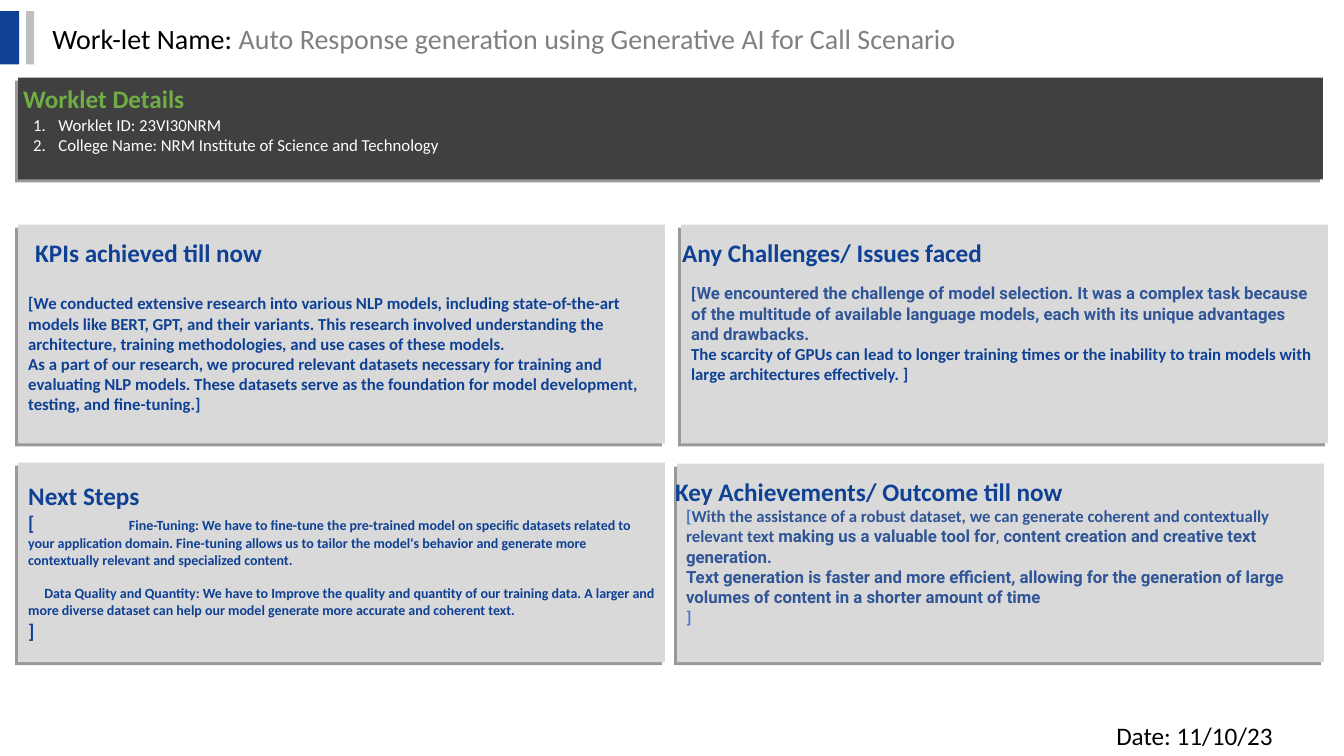
from dataclasses import dataclass

from lxml import etree
from pptx import Presentation
from pptx.dml.color import RGBColor
from pptx.enum.shapes import MSO_SHAPE
from pptx.enum.text import MSO_ANCHOR
from pptx.oxml.ns import qn
from pptx.util import Inches, Pt

RECTANGLE = MSO_SHAPE.RECTANGLE
TOP = MSO_ANCHOR.TOP
MIDDLE = MSO_ANCHOR.MIDDLE

COLORS = {
    "black": "000000",
    "white": "FFFFFF",
    "charcoal": "404040",
    "title gray": "808080",
    "bar gray": "BFBFBF",
    "panel gray": "D9D9D9",
    "pale gray": "D1D5DB",
    "navy": "0E4094",
    "blue": "2F5597",
    "bright blue": "4472C4",
    "green": "70AD47",
}


@dataclass
class Box:
    left: float
    top: float
    width: float
    height: float
    fill: str
    shadow: bool = True


@dataclass
class Span:
    text: str
    size: int = 12
    color: str = "navy"
    bold: bool = True
    font: str = "Calibri"


@dataclass
class Para:
    spans: list[Span]
    numbered: bool = False
    space_before: int = 0
    indent: float = 0
    tab: float = 0


@dataclass
class Label:
    left: float
    top: float
    width: float
    height: float
    paras: list[Para]
    anchor: MSO_ANCHOR = TOP
    wrap: bool = True


def heading(left: float, top: float, width: float, text: str, color: str = "navy") -> Label:
    return Label(left, top, width, 0.4, [Para([Span(text, 18, color)])], wrap=False)


def numbered(text: str) -> Para:
    return Para([Span(text, 12, "white", False)], numbered=True)


BOXES = [
    Box(0.18, 0.77, 12.95, 1.01, "charcoal"),
    Box(0, 0.11, 0.19, 0.53, "navy", False),
    Box(0.26, 0.11, 0.08, 0.53, "bar gray", False),
    Box(0.18, 2.23, 6.42, 2.17, "panel gray"),
    Box(6.76, 2.23, 6.42, 2.17, "panel gray"),
    Box(0.18, 4.59, 6.42, 1.98, "panel gray"),
    Box(6.72, 4.6, 6.42, 1.97, "panel gray"),
]

LABELS = [
    Label(0.47, 0.16, 10.86, 0.44, [Para([
        Span("Work-let Name: ", 20, "black", False),
        Span("Auto Response generation using Generative AI for Call Scenario", 20, "title gray", False),
    ])], MIDDLE),
    heading(0.18, 0.78, 2.03, "Worklet Details", "green"),
    Label(0.28, 1.09, 4.46, 0.7, [
        numbered("Worklet ID: 23VI30NRM"),
        numbered("College Name: NRM Institute of Science and Technology"),
    ]),
    heading(0.3, 2.31, 2.83, "KPIs achieved till now"),
    Label(0.23, 2.86, 6.32, 1.3, [
        Para([Span("[We conducted extensive research into various NLP models, including state-of-the-art "
                   "models like BERT, GPT, and their variants. This research involved understanding the "
                   "architecture, training methodologies, and use cases of these models.")]),
        Para([Span("As a part of our research, we procured relevant datasets necessary for training and "
                   "evaluating NLP models. These datasets serve as the foundation for model development, "
                   "testing, and fine-tuning.]")]),
    ]),
    heading(6.72, 2.31, 3.71, "Any Challenges/ Issues faced"),
    Label(6.81, 2.76, 6.32, 1.1, [
        Para([
            Span("["),
            Span("We encountered the challenge of model selection. It was a complex task because of the "
                 "multitude of available language models, each with its unique advantages and drawbacks.",
                 color="blue", font="Roboto"),
        ]),
        Para([Span("The scarcity of GPUs can lead to longer training times or the inability to train "
                   "models with large architectures effectively. ]")]),
    ], MIDDLE),
    Label(0.23, 4.72, 6.32, 1.87, [
        Para([Span("Next Steps", 18)]),
        Para([
            Span("[", 14),
            Span("\tFine-Tuning: We have to fine-tune the pre-trained model on specific datasets related "
                 "to your application domain. Fine-tuning allows us to tailor the model's behavior and "
                 "generate more contextually relevant and specialized content.", 10),
        ], tab=1),
        Para([Span("Data Quality and Quantity: We have to Improve the quality and quantity of our training "
                   "data. A larger and more diverse dataset can help our model generate more accurate and "
                   "coherent text.", 10)], space_before=12, indent=0.16),
        Para([Span("]", 14)]),
    ]),
    heading(6.65, 4.68, 4.71, "Key Achievements/ Outcome till now"),
    Label(6.76, 4.97, 6.32, 1.3, [
        Para([
            Span("[", color="bright blue"),
            Span("With the assistance of a robust dataset, we can generate coherent and contextually "
                 "relevant text ", color="blue"),
            Span("making us a valuable tool for", color="blue", font="Roboto"),
            Span(", ", color="blue", bold=False, font="Roboto"),
            Span("content creation and creative text generation.", color="blue", font="Roboto"),
        ]),
        Para([
            Span("Text generation is faster and more efficient, allowing for the generation of large "
                 "volumes of content in a shorter amount of time", color="blue", font="Roboto"),
            Span(".", color="pale gray", bold=False, font="Roboto"),
        ]),
        Para([Span("]", color="bright blue")]),
    ], MIDDLE),
    Label(11.03, 7.1, 2.25, 0.4, [Para([Span("Date: 11/10/23", 18, "black", False)])], MIDDLE),
]


def add_box(s, box: Box) -> None:
    sp = s.shapes.add_shape(RECTANGLE, Inches(box.left), Inches(box.top), Inches(box.width), Inches(box.height))
    sp.fill.solid()
    sp.fill.fore_color.rgb = RGBColor.from_string(COLORS[box.fill])
    sp.line.fill.background()
    sp.shadow.inherit = False
    if box.shadow:
        effects = sp._element.spPr.find(qn("a:effectLst"))
        shadow = etree.SubElement(effects, qn("a:outerShdw"), dist=str(Pt(3)), dir=str(135 * 60000),
                                  algn="tr", rotWithShape="0")
        color = etree.SubElement(shadow, qn("a:srgbClr"), val=COLORS["black"])
        etree.SubElement(color, qn("a:alpha"), val="40000")


def fill_paragraph(p, para: Para) -> None:
    p.space_before = Pt(para.space_before)
    pPr = p._p.get_or_add_pPr()
    if para.indent:
        pPr.set("indent", str(Inches(para.indent)))
    if para.numbered:
        pPr.set("marL", str(Inches(0.25)))
        pPr.set("indent", str(Inches(-0.25)))
        etree.SubElement(pPr, qn("a:buAutoNum"), type="arabicPeriod")
    if para.tab:
        tabs = etree.SubElement(pPr, qn("a:tabLst"))
        etree.SubElement(tabs, qn("a:tab"), pos=str(Inches(para.tab)), algn="l")
    for span in para.spans:
        r = p.add_run()
        r.text = span.text
        r.font.name = span.font
        r.font.size = Pt(span.size)
        r.font.bold = span.bold
        r.font.color.rgb = RGBColor.from_string(COLORS[span.color])


def add_label(s, label: Label) -> None:
    sp = s.shapes.add_textbox(Inches(label.left), Inches(label.top), Inches(label.width), Inches(label.height))
    tf = sp.text_frame
    tf.word_wrap = label.wrap
    tf.vertical_anchor = label.anchor
    tf.margin_left = tf.margin_right = tf.margin_top = tf.margin_bottom = Inches(0.05)
    for i, para in enumerate(label.paras):
        fill_paragraph(tf.add_paragraph() if i else tf.paragraphs[0], para)


def main() -> None:
    prs = Presentation()
    prs.slide_width = Inches(13.34)
    prs.slide_height = Inches(7.5)
    s = prs.slides.add_slide(prs.slide_layouts[6])
    for box in BOXES:
        add_box(s, box)
    for label in LABELS:
        add_label(s, label)
    prs.save("out.pptx")


if __name__ == "__main__":
    main()
